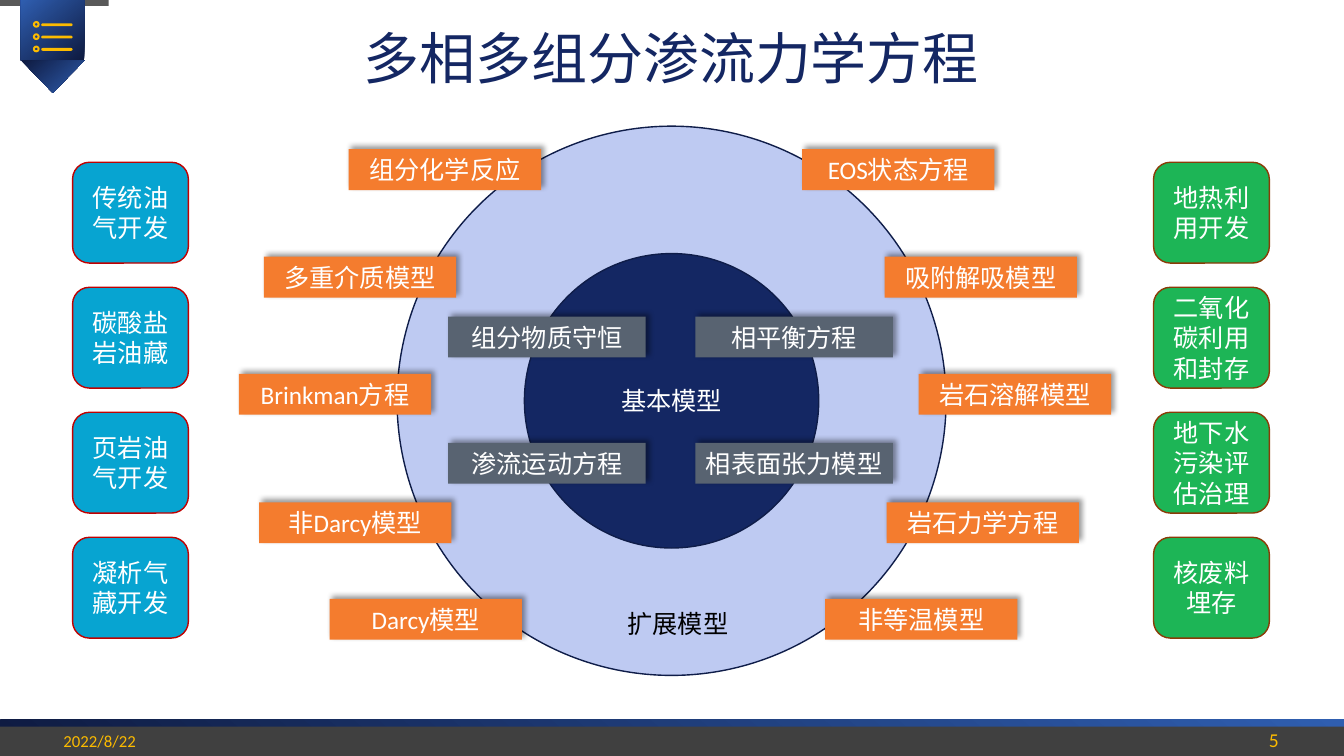
from lxml import etree
from pptx import Presentation
from pptx.dml.color import RGBColor
from pptx.enum import shapes, text
from pptx.oxml import ns
from pptx.util import Cm, Pt

TITLE = "多相多组分渗流力学方程"
DATE, NUMBER = "2022/8/22", "5"
CORE, OUTER = "基本模型", "扩展模型"
EXTENSIONS = [
    (3.76, (8.79, "组分化学反应"), (20.22, "EOS状态方程")),
    (6.47, (6.65, "多重介质模型"), (22.3, "吸附解吸模型")),
    (9.42, (6.02, "Brinkman方程"), (23.16, "岩石溶解模型")),
    (12.66, (6.53, "非Darcy模型"), (22.35, "岩石力学方程")),
    (15.09, (8.31, "Darcy模型"), (20.8, "非等温模型")),
]
BASICS = [["组分物质守恒", "相平衡方程"], ["渗流运动方程", "相表面张力模型"]]
APPLICATIONS = [
    (1.83, "07A4D1", "C00000", ["传统油气开发", "碳酸盐岩油藏", "页岩油气开发", "凝析气藏开发"]),
    (29.08, "1DB556", "8A3B07", ["地热利用开发", "二氧化碳利用和封存", "地下水污染评估治理", "核废料埋存"]),
]
NAVY, BLUE, GOLD, WHITE = "142763", "2F5EB0", "FCBB00", "FFFFFF"
WIDTH, HEIGHT = 33.88, 19.05
CENTER_X, CENTER_Y = 16.93, 10.1
KIND = shapes.MSO_SHAPE
ALIGN, ANCHOR = text.PP_ALIGN, text.MSO_ANCHOR

deck = Presentation()
deck.slide_width, deck.slide_height = Cm(WIDTH), Cm(HEIGHT)
page = deck.slides.add_slide(deck.slide_layouts[5])


def color(value):
    return RGBColor.from_string(value)


def place(box, left, top, width, height):
    box.left, box.top, box.width, box.height = map(Cm, (left, top, width, height))


def write(box, words, size=18, ink=WHITE, align=ALIGN.CENTER, anchor=ANCHOR.MIDDLE, wrap=True):
    frame = box.text_frame
    frame.text = words
    frame.word_wrap = wrap
    frame.vertical_anchor = anchor
    para = frame.paragraphs[0]
    para.alignment = align
    for span in para.runs:
        span.font.name = "Calibri"
        span.font.size = Pt(size)
        span.font.color.rgb = color(ink)


def draw(kind, area, fill, line=None):
    box = page.shapes.add_shape(kind, *map(Cm, area))
    box.shadow.inherit = False
    box.fill.solid()
    box.fill.fore_color.rgb = color(fill)
    if line:
        box.line.color.rgb = color(line)
        box.line.width = Pt(1)
    else:
        box.line.fill.background()
    return box


def shade(box, angle):
    box.fill.gradient()
    box.fill.gradient_angle = angle
    for stop, value in zip(box.fill.gradient_stops, ("0E1A40", BLUE)):
        stop.color.rgb = color(value)


def cast_shadow(box):
    effects = box.element.spPr.find(ns.qn("a:effectLst"))
    shadow = etree.SubElement(effects, ns.qn("a:outerShdw"), blurRad="50800",
                              dist="38100", dir="18900000", algn="bl", rotWithShape="0")
    tint = etree.SubElement(shadow, ns.qn("a:srgbClr"), val="000000")
    etree.SubElement(tint, ns.qn("a:alpha"), val="40000")


def label(left, top, width, fill, words):
    box = draw(KIND.RECTANGLE, (left, top, width, 1.03), fill)
    cast_shadow(box)
    write(box, words)


def note(area, words, **style):
    write(page.shapes.add_textbox(*map(Cm, area)), words, **style)


def circle(diameter, fill):
    radius = diameter / 2
    area = (CENTER_X - radius, CENTER_Y - radius, diameter, diameter)
    return draw(KIND.OVAL, area, fill, "0F1D49")


shade(draw(KIND.RECTANGLE, (0, 18.14, WIDTH, 0.91), BLUE), 50)
draw(KIND.RECTANGLE, (0, 18.31, WIDTH, 0.74), "404040")
draw(KIND.RECTANGLE, (0, 0, 2.74, 0.15), "595959")
shade(draw(KIND.RECTANGLE, (0.53, 0, 1.6, 1.52), BLUE), 130)
ribbon_tip = draw(KIND.ISOSCELES_TRIANGLE, (0.53, 1.52, 1.6, 0.82), BLUE)
ribbon_tip.rotation = 180
shade(ribbon_tip, 130)
for row in range(3):
    middle = 0.62 + 0.31 * row
    ring = draw(KIND.DONUT, (0.83, middle - 0.09, 0.17, 0.17), GOLD)
    ring.adjustments[0] = 0.3
    bar = draw(KIND.ROUNDED_RECTANGLE, (1.04, middle - 0.03, 0.79, 0.07), GOLD)
    bar.adjustments[0] = 0.5

place(page.shapes.title, 1.35, 0.46, 31.14, 1.96)
write(page.shapes.title, TITLE, 40, NAVY)
note((1.35, 18.03, 7.62, 1.02), DATE, size=12, ink=GOLD, align=ALIGN.LEFT, anchor=ANCHOR.BOTTOM)
note((24.87, 18.03, 7.62, 1.02), NUMBER, size=14, ink=GOLD, align=ALIGN.RIGHT, anchor=ANCHOR.BOTTOM)

circle(13.84, "BECAF2")
write(circle(7.42, NAVY), CORE)
note((15.57, 15.21, 3.07, 1.02), OUTER, ink="000000", align=ALIGN.LEFT, wrap=False)

for top, *pair in EXTENSIONS:
    for left, words in pair:
        label(left, top, 4.85, "F47C2E", words)
for row, names in enumerate(BASICS):
    for column, words in enumerate(names):
        label(11.3 + 6.23 * column, 7.98 + 3.18 * row, 4.98, "586371", words)
for left, fill, line, names in APPLICATIONS:
    for row, words in enumerate(names):
        area = (left, 4.09 + 3.15 * row, 2.92, 2.54)
        write(draw(KIND.ROUNDED_RECTANGLE, area, fill, line), words)

deck.save("out.pptx")
